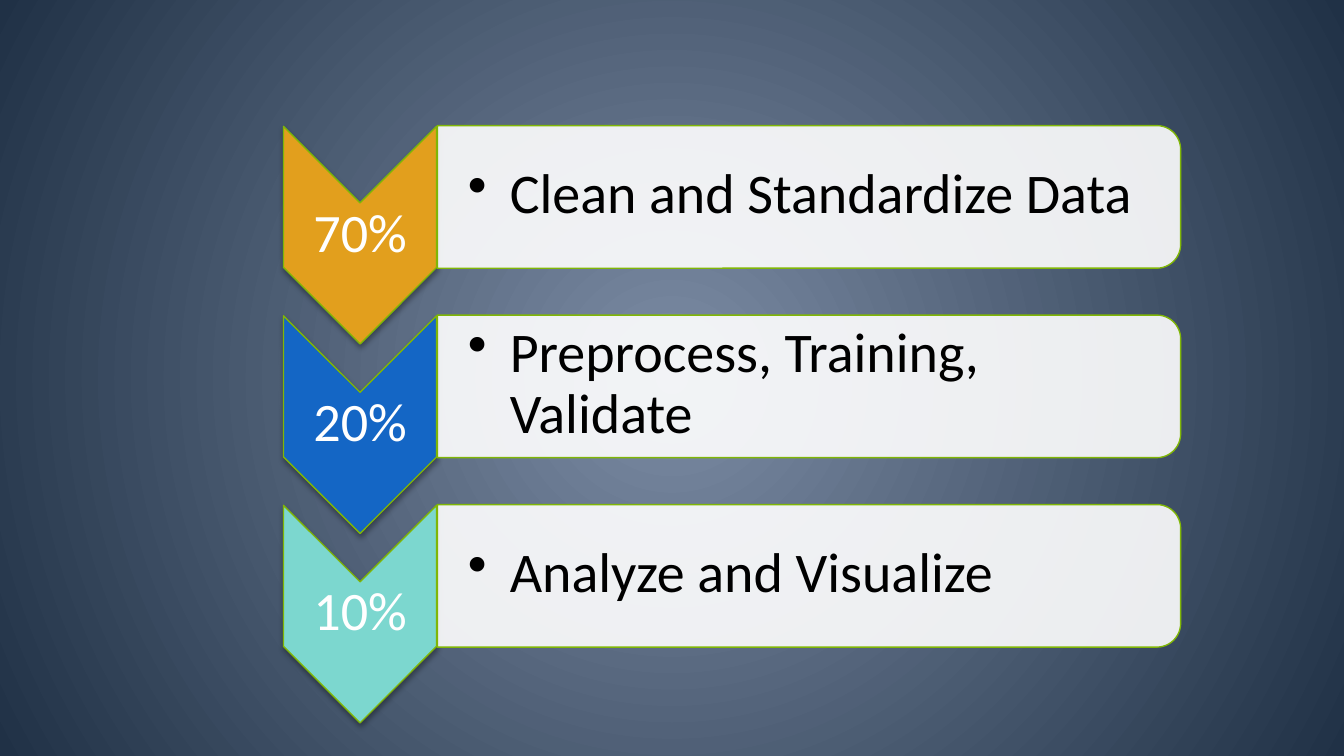
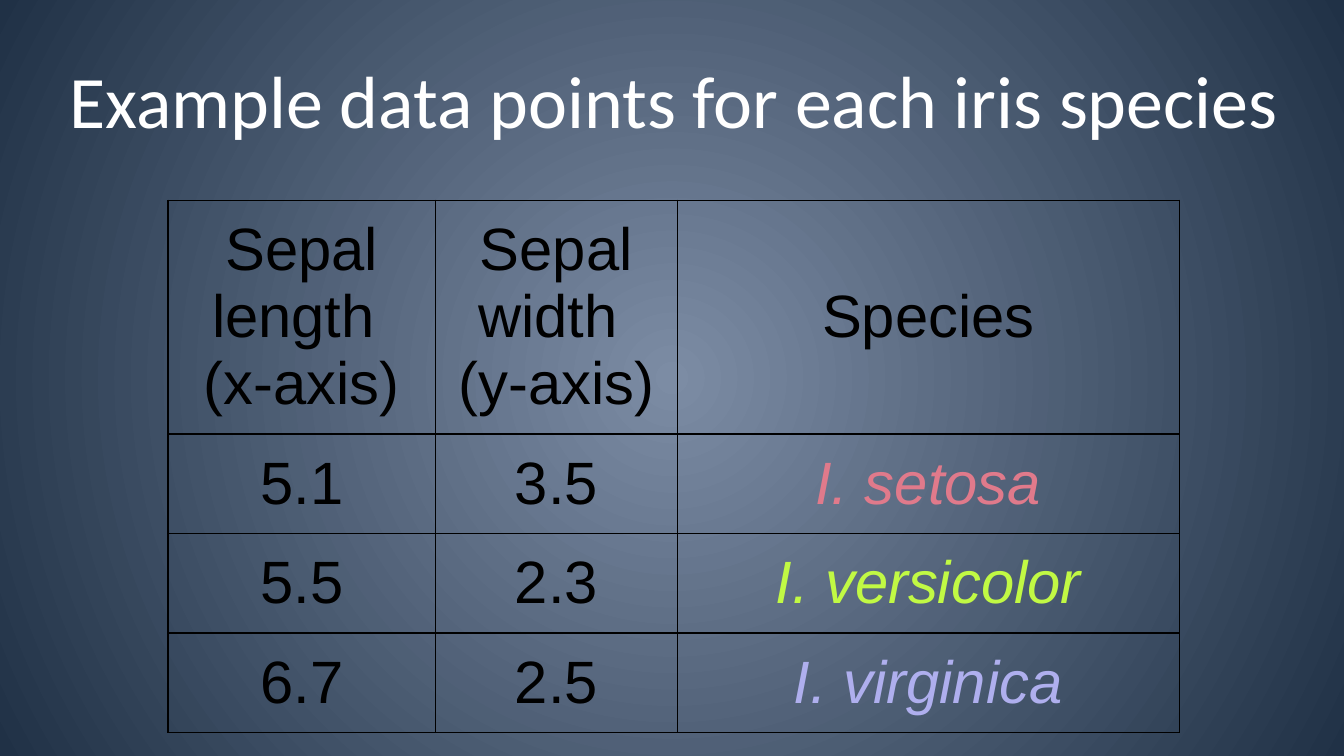
from lxml import etree
from pptx import Presentation
from pptx.dml.color import RGBColor
from pptx.enum.shapes import MSO_SHAPE
from pptx.enum.text import MSO_ANCHOR, PP_ALIGN
from pptx.oxml import parse_xml
from pptx.oxml.ns import nsdecls, qn
from pptx.util import Pt

CHEVRON = MSO_SHAPE.CHEVRON
BAR = MSO_SHAPE.ROUND_2_SAME_RECTANGLE
MIDDLE = MSO_ANCHOR.MIDDLE
LEFT, CENTER = PP_ALIGN.LEFT, PP_ALIGN.CENTER

WHITE = RGBColor(0xFF, 0xFF, 0xFF)
BLACK = RGBColor(0, 0, 0)
GLOW = RGBColor(0x7C, 0x8C, 0xA4)
NAVY = RGBColor(0x20, 0x31, 0x46)
GREEN = RGBColor(0x80, 0xB6, 0x06)
AMBER = RGBColor(0xE2, 0x9F, 0x1D)
BLUE = RGBColor(0x14, 0x66, 0xC5)
TEAL = RGBColor(0x7C, 0xD7, 0xCF)
ROSE = RGBColor(0xE0, 0x7A, 0x8B)
LIME = RGBColor(0xC1, 0xF9, 0x44)
LILAC = RGBColor(0xAF, 0xAF, 0xEE)

STEPS = [
    ("70%", "Clean and Standardize Data", AMBER),
    ("20%", "Preprocess, Training, Validate", BLUE),
    ("10%", "Analyze and Visualize", TEAL),
]
STEP_TOP, STEP_GAP = 85, 101.5

HEADS = ["Sepal length \n(x-axis)", "Sepal width \n(y-axis)", "Species"]
ROWS = [
    ("5.1", "3.5", "I. setosa", ROSE),
    ("5.5", "2.3", "I. versicolor", LIME),
    ("6.7", "2.5", "I. virginica", LILAC),
]


class Deck:
    """Holds the shared style and the slide being filled."""

    def __init__(self):
        self.prs = Presentation()
        self.prs.slide_width, self.prs.slide_height = Pt(720), Pt(405)
        self.slide = None
        self.backdrop()

    def backdrop(self):
        """Give the master a round gradient, so every slide has it."""
        master = self.prs.slide_master
        fill = master.background.fill
        fill.gradient()
        for stop, color in zip(fill.gradient_stops, (GLOW, NAVY)):
            stop.color.rgb = color
        lin = master.element.find(".//" + qn("a:lin"))
        lin.getparent().replace(lin, parse_xml(
            f'<a:path {nsdecls("a")} path="circle"><a:fillToRect '
            'l="50000" t="50000" r="50000" b="50000"/></a:path>'))

    def add_slide(self):
        self.slide = self.prs.slides.add_slide(self.prs.slide_layouts[6])

    def add_text(self, para, text, size, color, font="Calibri", italic=False):
        run = para.add_run()
        run.text = text
        run.font.size, run.font.name = Pt(size), font
        run.font.color.rgb, run.font.italic = color, italic

    def label(self, box, text, size, color, align=CENTER, inset=1.5,
              lead=None, bullet=False, spacing=0.9):
        frame = self.slide.shapes.add_textbox(*map(Pt, box)).text_frame
        frame.word_wrap, frame.vertical_anchor = True, MIDDLE
        frame.margin_left = Pt(inset if lead is None else lead)
        frame.margin_right = frame.margin_top = frame.margin_bottom = Pt(inset)
        para = frame.paragraphs[0]
        para.alignment, para.line_spacing = align, spacing
        if bullet:
            props = para._p.get_or_add_pPr()
            props.set("marL", str(Pt(22.5)))
            props.set("indent", str(-Pt(22.5)))
            etree.SubElement(props, qn("a:buChar"), char="•")
        self.add_text(para, text, size, color)

    def turned(self, kind, box, color, alpha=None, shadow=False):
        """Add an outlined shape rotated a quarter turn."""
        shape = self.slide.shapes.add_shape(kind, *map(Pt, box))
        shape.rotation = 90
        shape.fill.solid()
        shape.fill.fore_color.rgb = color
        shape.line.color.rgb, shape.line.width = GREEN, Pt(0.75)
        shape.shadow.inherit = False
        props = shape._element.spPr
        if alpha:
            tint = props.find(qn("a:solidFill"))[0]
            etree.SubElement(tint, qn("a:alpha"), val=str(alpha * 1000))
        if shadow:
            props.find(qn("a:effectLst")).append(parse_xml(
                f'<a:outerShdw {nsdecls("a")} blurRad="{Pt(3.1)}" '
                f'dist="{Pt(1.8)}" dir="5400000" rotWithShape="0">'
                '<a:srgbClr val="000000"><a:alpha val="35000"/></a:srgbClr>'
                '</a:outerShdw>'))

    def step(self, top, share, task, color):
        self.turned(CHEVRON, (134.6, top, 116.6, 82), color, shadow=True)
        self.label((152, top + 23, 82, 35.3), share, 29, WHITE)
        self.turned(BAR, (395.2, top - 178.6, 76.4, 398.2), WHITE, alpha=90)
        self.label((234, top - 14.4, 394.6, 68.4), task, 30, BLACK,
                   align=LEFT, lead=16.6, bullet=True)

    def title(self, text):
        self.label((25.2, 19.4, 671.8, 67.7), text, 39.6, WHITE,
                   inset=3.6, spacing=1)

    def cell(self, cell, text, color=BLACK, italic=False):
        cell.vertical_anchor = MIDDLE
        cell.margin_left = cell.margin_right = Pt(5)
        cell.margin_top = cell.margin_bottom = Pt(5)
        props = cell._tc.get_or_add_tcPr()
        for side in "LRTB":
            props.append(parse_xml(
                f'<a:ln{side} {nsdecls("a")} w="{Pt(0.75)}"><a:solidFill>'
                f'<a:srgbClr val="{BLACK}"/></a:solidFill></a:ln{side}>'))
        cell.fill.background()
        frame = cell.text_frame
        for i, line in enumerate(text.split("\n")):
            para = frame.add_paragraph() if i else frame.paragraphs[0]
            para.alignment = CENTER
            self.add_text(para, line, 32, color, "Arial", italic)

    def table(self, left, top, widths, heights):
        frame = self.slide.shapes.add_table(
            len(heights), len(widths), Pt(left), Pt(top),
            Pt(sum(widths)), Pt(sum(heights)))
        grid = frame.table
        grid.first_row = grid.horz_banding = False
        for col, width in zip(grid.columns, widths):
            col.width = Pt(width)
        for row, height in zip(grid.rows, heights):
            row.height = Pt(height)
        return grid


def main():
    deck = Deck()

    deck.add_slide()
    for i, (share, task, color) in enumerate(STEPS):
        deck.step(STEP_TOP + i * STEP_GAP, share, task, color)

    deck.add_slide()
    deck.title("Example data points for each iris species")
    grid = deck.table(90, 107.3, [143.4, 129.4, 269.2], [90] + [53.3] * 3)
    for col, head in enumerate(HEADS):
        deck.cell(grid.cell(0, col), head)
    for row, (length, width, name, color) in enumerate(ROWS, 1):
        deck.cell(grid.cell(row, 0), length)
        deck.cell(grid.cell(row, 1), width)
        deck.cell(grid.cell(row, 2), name, color, italic=True)

    deck.prs.save("out.pptx")


if __name__ == "__main__":
    main()
